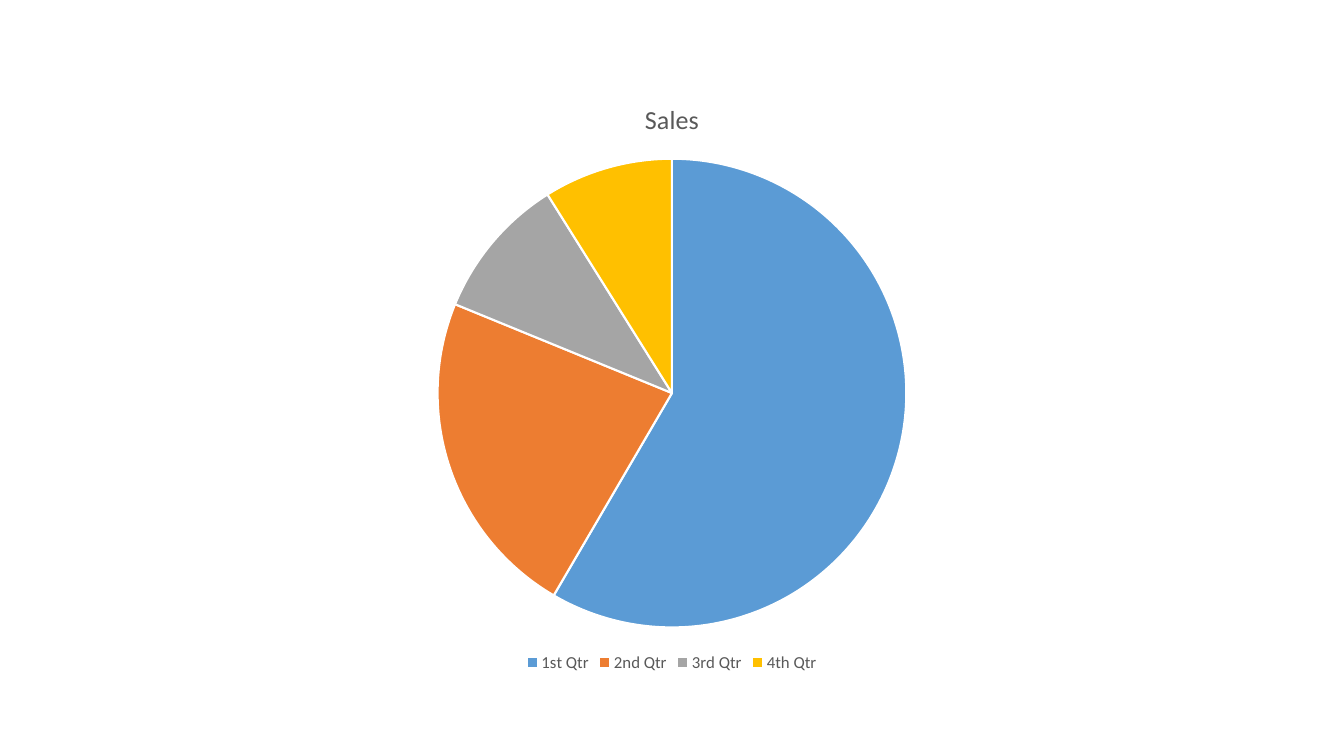
import pptx
import pptx.chart.data
import pptx.dml.color
import pptx.enum.chart
import pptx.util
from dataclasses import dataclass

Pt = pptx.util.Pt
RGBColor = pptx.dml.color.RGBColor

BLUE = RGBColor(0x5B, 0x9B, 0xD5)
ORANGE = RGBColor(0xED, 0x7D, 0x31)
GRAY = RGBColor(0xA5, 0xA5, 0xA5)
GOLD = RGBColor(0xFF, 0xC0, 0x00)
WHITE = RGBColor(0xFF, 0xFF, 0xFF)
INK = RGBColor(0x59, 0x59, 0x59)
FACE = "Calibri"


@dataclass
class Slice:
    label: str
    value: int
    color: RGBColor


SALES = [
    Slice("1st Qtr", 59, BLUE),
    Slice("2nd Qtr", 23, ORANGE),
    Slice("3rd Qtr", 10, GRAY),
    Slice("4th Qtr", 9, GOLD),
]


def style(font: pptx.text.text.Font, *, size: float) -> None:
    font.name = FACE
    font.size = Pt(size)
    font.bold = False
    font.color.rgb = INK


def write(frame: pptx.text.text.TextFrame, text: str, *, size: float) -> None:
    frame.text = text
    style(frame.paragraphs[0].runs[0].font, size=size)


def paint(point: pptx.chart.point.Point, part: Slice) -> None:
    point.format.fill.solid()
    point.format.fill.fore_color.rgb = part.color
    point.format.line.color.rgb = WHITE
    point.format.line.width = Pt(1.5)


def draw(slide: pptx.slide.Slide, title: str, parts: list[Slice]) -> None:
    data = pptx.chart.data.CategoryChartData()
    data.categories = [part.label for part in parts]
    data.add_series(title, [part.value for part in parts])
    chart = slide.shapes.add_chart(
        pptx.enum.chart.XL_CHART_TYPE.PIE,
        Pt(160), Pt(56.67), Pt(640), Pt(426.67), data,
    ).chart
    style(chart.font, size=10)
    chart.has_title = True
    write(chart.chart_title.text_frame, title, size=18.6)
    chart.chart_title.include_in_layout = False
    chart.has_legend = True
    chart.legend.position = pptx.enum.chart.XL_LEGEND_POSITION.BOTTOM
    chart.legend.include_in_layout = False
    style(chart.legend.font, size=12)
    plot = chart.plots[0]
    plot.vary_by_categories = True
    for index, part in enumerate(parts):
        paint(plot.series[0].points[index], part)


def main() -> None:
    deck = pptx.Presentation()
    deck.slide_width = Pt(960)
    deck.slide_height = Pt(540)
    slide = deck.slides.add_slide(deck.slide_layouts[6])
    draw(slide, "Sales", SALES)
    deck.save("out.pptx")


if __name__ == "__main__":
    main()
